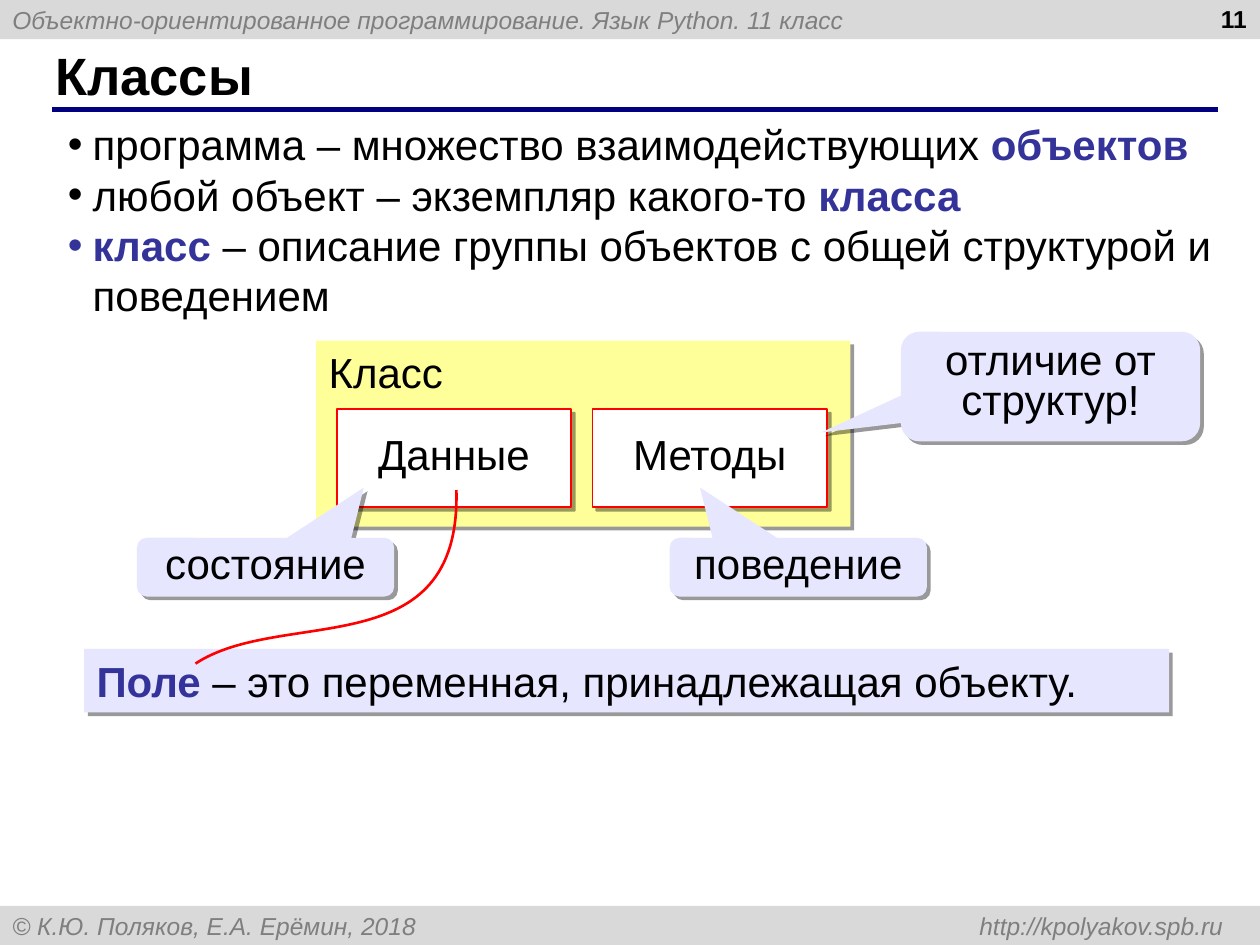
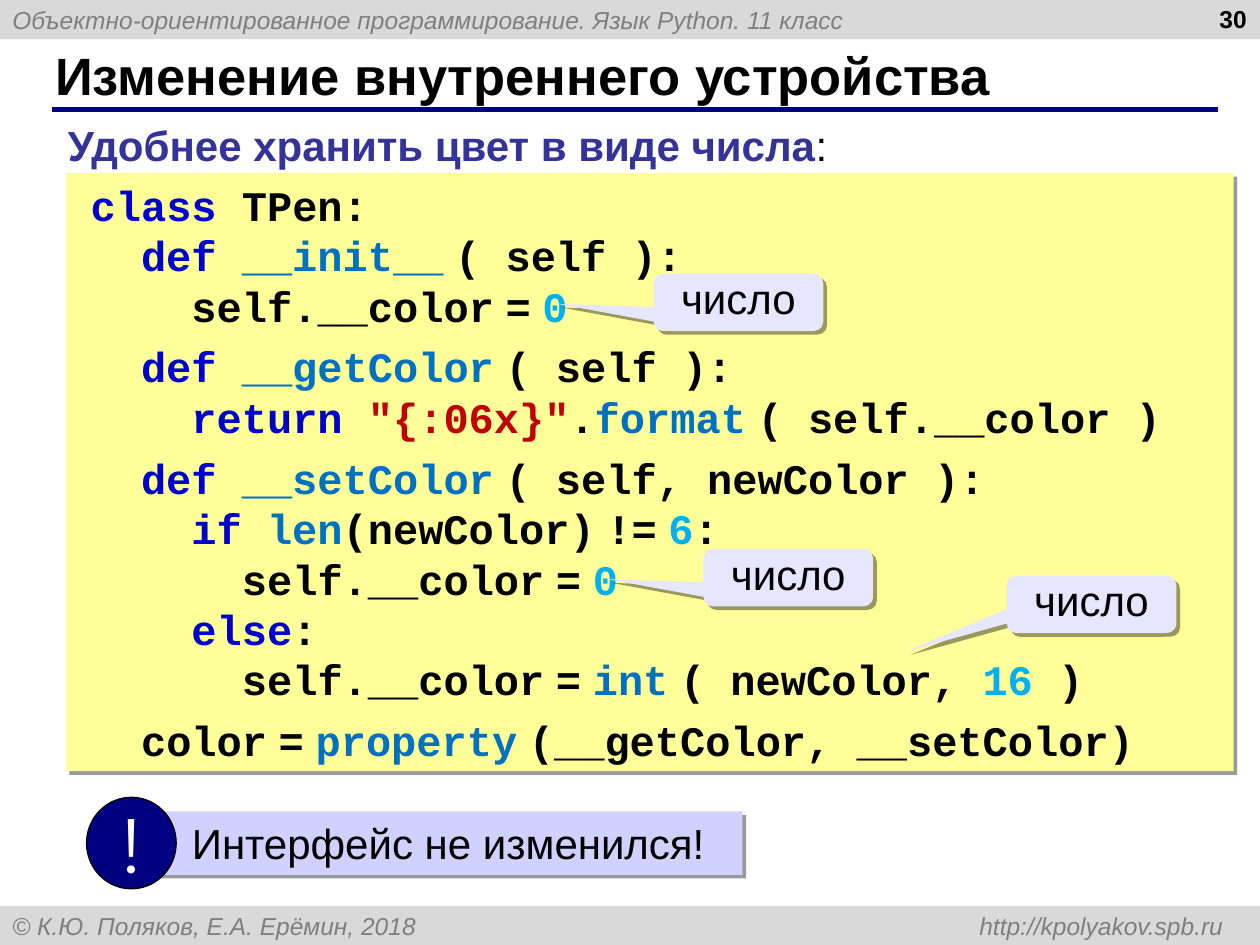
from lxml.etree import SubElement
from pptx import Presentation
from pptx.dml.color import RGBColor
from pptx.enum.shapes import MSO_CONNECTOR, MSO_SHAPE
from pptx.enum.text import MSO_ANCHOR, PP_ALIGN
from pptx.oxml.ns import qn
from pptx.util import Pt

WIDE, HIGH, BAND = 720, 540, 22.4
BLACK, WHITE, RED, NAVY = "000000", "FFFFFF", "FF0000", "000080"
PALE, GREY, LILAC, MIST, LEMON = "D9D9D9", "7F7F7F", "D1D1FF", "E6E6FF", "FFFF99"
TERM, WORD, NAME, NUM, STR = "333399", "0000CC", "0070C0", "00B0F0", "C00000"
GAP = (" ", BLACK)  # a lone space in code is set in Arial, so it is narrow


def hue(code):
    return RGBColor.from_string(code)


def node(parent, tag, **attrs):
    return SubElement(parent, qn(tag), {k: str(v) for k, v in attrs.items()})


def shade(shape):
    """Give the shape a hard grey shadow to the lower right."""
    effects = node(shape._element.spPr, "a:effectLst")
    outer = node(effects, "a:outerShdw", blurRad=0, dist=Pt(3), dir=45 * 60000,
                 algn="ctr", rotWithShape=0)
    node(node(outer, "a:srgbClr", val=BLACK), "a:alpha", val=40000)


def block(shapes, kind, box, fill, line=None, weight=1, shadow=True):
    shape = shapes.add_shape(kind, *map(Pt, box))
    shape.fill.solid()
    shape.fill.fore_color.rgb = hue(fill)
    if line:
        shape.line.color.rgb = hue(line)
        shape.line.width = Pt(weight)
    else:
        shape.line.fill.background()
    if shadow:
        shade(shape)
    else:
        shape.shadow.inherit = False
    return shape


def indent(para, left, first):
    props = para._p.get_or_add_pPr()
    props.set("marL", str(Pt(left)))
    props.set("indent", str(Pt(first)))
    return props


def style(para, size=24, face="Arial", color=BLACK, bold=False, italic=False):
    font = para.font
    font.size, font.name = Pt(size), face
    font.bold, font.italic = bold, italic
    font.color.rgb = hue(color)


def mixed(para, runs):
    """Add (text, colour) runs; the term colour is also bold."""
    for text, color in runs:
        run = para.add_run()
        run.text = text
        run.font.color.rgb = hue(color)
        if color == TERM:
            run.font.bold = True


def label(shape, text, align=PP_ALIGN.LEFT, anchor=MSO_ANCHOR.TOP,
          wrap=True, space=None, **look):
    """Write one paragraph, from a string or a list of runs."""
    frame = shape.text_frame
    frame.word_wrap, frame.vertical_anchor = wrap, anchor
    para = frame.paragraphs[0]
    para.alignment = align
    if space:
        para.line_spacing = space
    style(para, **look)
    mixed(para, [(text, look.get("color", BLACK))] if isinstance(text, str) else text)
    return para


def note(shapes, box, text, tip):
    """Callout whose tip is given as a share of its size from its centre."""
    shape = block(shapes, MSO_SHAPE.ROUNDED_RECTANGULAR_CALLOUT, box, MIST)
    for i, value in enumerate((*tip, 0.167)):
        shape.adjustments[i] = value
    label(shape, text, PP_ALIGN.CENTER, space=0.8)


def band(shapes, top, text):
    shape = block(shapes, MSO_SHAPE.RECTANGLE, (0, top, WIDE, BAND), PALE, shadow=False)
    para = shape.text_frame.paragraphs[0]
    tabs = node(para._p.get_or_add_pPr(), "a:tabLst")
    node(tabs, "a:tab", pos=Pt(692), algn="r")
    label(shape, text, anchor=MSO_ANCHOR.MIDDLE, size=14, color=GREY, italic=True)


def start(deck, title, page):
    """Add a slide with bands, rule, title and page number."""
    shapes = deck.slides.add_slide(deck.slide_layouts[6]).shapes
    band(shapes, 0, "Объектно-ориентированное программирование. Язык Python. 11 класс")
    band(shapes, HIGH - BAND, "© К.Ю. Поляков, Е.А. Ерёмин, 2018\thttp://kpolyakov.spb.ru")
    rule = shapes.add_connector(MSO_CONNECTOR.STRAIGHT, Pt(29.6), Pt(62.5), Pt(696), Pt(62.5))
    rule.line.color.rgb = hue(NAVY)
    rule.line.width = Pt(3)
    node(rule._element.spPr, "a:effectLst")
    head = shapes.add_textbox(Pt(24.5), Pt(24), Pt(660), Pt(37.5))
    label(head, title, anchor=MSO_ANCHOR.MIDDLE, size=30, bold=True)
    number = shapes.add_textbox(Pt(551.5), Pt(-1.5), Pt(168), Pt(37.5))
    label(number, page, PP_ALIGN.RIGHT, size=14, bold=True)
    return shapes


def points(shapes, box, items):
    frame = shapes.add_textbox(*map(Pt, box)).text_frame
    frame.word_wrap, frame.vertical_anchor = True, MSO_ANCHOR.MIDDLE
    for i, runs in enumerate(items):
        para = frame.add_paragraph() if i else frame.paragraphs[0]
        props = indent(para, 14.2, -14.2)
        node(node(props, "a:buClr"), "a:srgbClr", val=runs[0][1])
        node(props, "a:buFont", typeface="Arial")
        node(props, "a:buChar", char="•")
        style(para)
        mixed(para, runs)


def curve(shapes, begin, *rest):
    """Draw one cubic curve from begin through two controls to the end."""
    pen = shapes.build_freeform(*map(Pt, begin))
    pen.add_line_segments([tuple(map(Pt, spot)) for spot in rest], close=False)
    shape = pen.convert_to_shape()
    shape.fill.background()
    shape.line.color.rgb = hue(RED)
    shape.line.width = Pt(1.5)
    shape.shadow.inherit = False
    steps = list(shape._element.iter(qn("a:lnTo")))
    bend = node(steps[0].getparent(), "a:cubicBezTo")
    for step in steps:
        bend.append(step[0])
        step.getparent().remove(step)


def code(shapes, box, parts):
    """Write parts of a listing, with a small space between parts."""
    frame = block(shapes, MSO_SHAPE.RECTANGLE, box, LEMON).text_frame
    frame.word_wrap, frame.vertical_anchor = True, MSO_ANCHOR.TOP
    para = frame.paragraphs[0]
    for i, part in enumerate(parts):
        for j, runs in enumerate(part):
            if i or j:
                para = frame.add_paragraph()
            if i and not j:
                para.space_before = Pt(6)
            indent(para, 14.2, -7.1)
            para.alignment = PP_ALIGN.LEFT
            style(para, face="Courier New", bold=True)
            mixed(para, runs)
            for run in para.runs:
                if run.text == " ":
                    run.font.name = "Arial"


def store(pad, *value):
    """Code that sets the colour field."""
    return [(pad + "self.__color", BLACK), GAP, ("=", BLACK), GAP, *value]


def define(name, args):
    return [("  ", BLACK), ("def ", WORD), (name, NAME), GAP, (f"( {args} ):", BLACK)]


def classes(deck):
    shapes = start(deck, "Классы", "11")
    points(shapes, (31.7, 64.4, 672.5, 122), [
        [("программа – множество взаимодействующих ", BLACK), ("объектов", TERM)],
        [("любой объект – экземпляр какого-то ", BLACK), ("класса", TERM)],
        [("класс", TERM),
         (" – описание группы объектов с общей структурой и поведением", BLACK)],
    ])
    label(block(shapes, MSO_SHAPE.RECTANGLE, (180.7, 194.7, 305.3, 106.3), LEMON), "Класс")
    for i, text in enumerate(("Данные", "Методы")):
        part = block(shapes, MSO_SHAPE.RECTANGLE,
                     (192.4 + 146.2 * i, 233.8, 134, 56), WHITE, RED)
        label(part, text, PP_ALIGN.CENTER, MSO_ANCHOR.MIDDLE, space=0.8)
    note(shapes, (514.8, 189.6, 171, 62.6), "отличие от структур!", (-0.767, 0.42))
    note(shapes, (78.3, 307.3, 147, 33.6), "состояние", (0.382, -1.355))
    note(shapes, (382.7, 307.3, 147, 33.6), "поведение", (-0.382, -1.355))
    field = block(shapes, MSO_SHAPE.RECTANGLE, (48.1, 370.8, 620, 36.3), MIST)
    label(field, [("Поле", TERM), (" – это переменная, принадлежащая объекту.", BLACK)])
    curve(shapes, (260.8, 280), (263.5, 381.5), (161.5, 346.5), (111.7, 379.2))


def change(deck):
    shapes = start(deck, "Изменение внутреннего устройства", "30")
    code(shapes, (37.6, 98.9, 667.3, 341.8), [
        [
            [("class", WORD), (" TPen:", BLACK)],
            define("__init__", "self"),
            store("    ", ("0", NUM)),
        ], [
            define("__getColor", "self"),
            [("    ", BLACK), ("return ", WORD), ('"{:06x}"', STR), (".", BLACK),
             ("format", NAME), GAP, ("( self.__color )", BLACK)],
        ], [
            define("__setColor", "self, newColor"),
            [("    ", BLACK), ("if ", WORD), ("len", NAME), ("(newColor)", BLACK), GAP,
             ("!=", BLACK), GAP, ("6", NUM), (":", BLACK)],
            store("      ", ("0", NUM)),
            [("    ", BLACK), ("else", WORD), (":", BLACK)],
            store("      ", ("int", NAME), GAP, ("( newColor, ", BLACK),
                  ("16", NUM), (" )", BLACK)),
        ], [
            [("  color", BLACK), GAP, ("=", BLACK), GAP, ("property", NAME), GAP,
             ("(__getColor, __setColor)", BLACK)],
        ],
    ])
    lead = shapes.add_textbox(Pt(31.7), Pt(65), Pt(450), Pt(36.3))
    label(lead, [("Удобнее хранить цвет в виде числа", TERM), (":", BLACK)], wrap=False)

    group = shapes.add_group_shape().shapes
    strip = block(group, MSO_SHAPE.RECTANGLE, (89.3, 463.6, 335, 36.3), LILAC)
    indent(label(strip, "Интерфейс не изменился!"), 13.3, 0)
    badge = block(group, MSO_SHAPE.OVAL, (49.5, 455.6, 51.2, 52.3), NAVY, BLACK, 0.75, False)
    label(badge, "!", PP_ALIGN.CENTER, MSO_ANCHOR.MIDDLE, False,
          size=44, face="Montserrat", color=WHITE)

    for left, top, tip in ((373.5, 156.4, (-1.064, 0.027)),
                           (402, 313.7, (-1.064, 0.027)),
                           (575.3, 329, (-1.09, 0.818))):
        note(shapes, (left, top, 97, 32.8), "число", tip)


def main():
    deck = Presentation()
    deck.slide_width, deck.slide_height = Pt(WIDE), Pt(HIGH)
    classes(deck)
    change(deck)
    deck.save("out.pptx")


if __name__ == "__main__":
    main()
